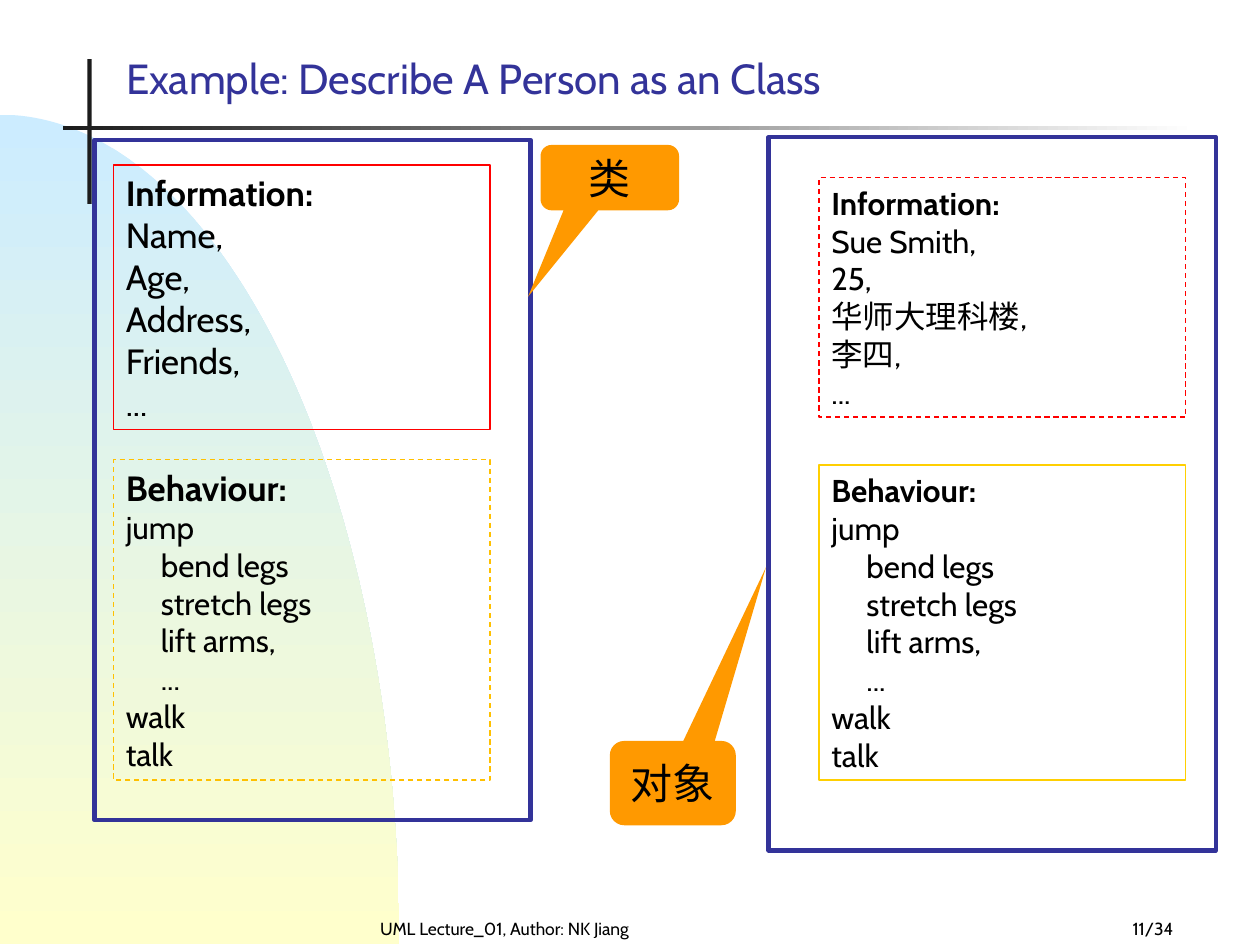
from dataclasses import dataclass
from math import cos, pi, sin

from pptx import Presentation
from pptx.dml.color import RGBColor
from pptx.enum.dml import MSO_LINE
from pptx.enum.shapes import MSO_SHAPE
from pptx.enum.text import MSO_ANCHOR, MSO_AUTO_SIZE, PP_ALIGN
from pptx.util import Pt


@dataclass(frozen=True)
class Theme:
    font: str = "Cabin"
    ink: str = "000000"
    accent: str = "333399"
    callout: str = "FF9900"
    red: str = "FF0000"
    amber: str = "FFC000"
    yellow: str = "FFCF01"
    bar: str = "1C1C1C"
    paper: str = "FFFFFF"
    sky: str = "CCECFF"
    cream: str = "FFFFCC"
    title_size: int = 24
    large_size: int = 20
    body_size: int = 18
    footer_size: int = 10
    indent: int = 20


THEME = Theme()
ACTIONS = ["jump", "\tbend legs", "\tstretch legs", "\tlift arms,", "\t...", "walk", "talk"]


def place(bounds):
    return [Pt(value) for value in bounds]


def color(code):
    return RGBColor.from_string(code)


def format_frame(frame, anchor):
    settings = {
        "word_wrap": True, "auto_size": MSO_AUTO_SIZE.NONE, "vertical_anchor": anchor,
        "margin_left": Pt(7.2), "margin_right": Pt(7.2),
        "margin_top": Pt(3.6), "margin_bottom": Pt(3.6),
    }
    for name, value in settings.items():
        setattr(frame, name, value)


def write_line(para, text, size, align=PP_ALIGN.LEFT, bold=False, ink=THEME.ink):
    """Write one line; a leading tab marks an indented one."""
    para.alignment = align
    if text.startswith("\t"):
        para._p.get_or_add_pPr().set("marL", str(Pt(THEME.indent)))
    span = para.add_run()
    span.text = text.lstrip("\t")
    for name, value in {"name": THEME.font, "size": Pt(size), "bold": bold}.items():
        setattr(span.font, name, value)
    span.font.color.rgb = color(ink)


def add_plain_shape(shapes, kind, bounds):
    shape = shapes.add_shape(kind, *place(bounds))
    shape.shadow.inherit = False
    shape.line.fill.background()
    return shape


def fill_gradient(shape, start, end, angle):
    shape.fill.gradient()
    shape.fill.gradient_angle = angle
    for stop, code, position in zip(shape.fill.gradient_stops, (start, end), (0, 1)):
        stop.color.rgb = color(code)
        stop.position = position


def add_quarter_ellipse(shapes, top, width, height, steps=90):
    angles = [pi / 2 * step / steps for step in range(steps + 1)]
    bottom = top + height
    arc = [(Pt(width * sin(a)), Pt(bottom - height * cos(a))) for a in angles]
    builder = shapes.build_freeform(*arc[0])
    builder.add_line_segments(arc[1:] + [(0, Pt(bottom))], close=True)
    ellipse = builder.convert_to_shape()
    ellipse.shadow.inherit = False
    ellipse.line.fill.background()
    fill_gradient(ellipse, THEME.sky, THEME.cream, 270)


def add_outline(shapes, bounds, line_color, width, dash=None):
    box = add_plain_shape(shapes, MSO_SHAPE.RECTANGLE, bounds)
    box.fill.background()
    box.line.color.rgb = color(line_color)
    box.line.width = Pt(width)
    if dash:
        box.line.dash_style = dash
    return box


def add_list_box(shapes, bounds, outline, heading, lines, heading_size, size):
    box = add_outline(shapes, bounds, *outline)
    frame = box.text_frame
    format_frame(frame, MSO_ANCHOR.TOP)
    write_line(frame.paragraphs[0], heading, heading_size, bold=True)
    for line in lines:
        write_line(frame.add_paragraph(), line, size)


def add_callout(shapes, bounds, text, tip):
    callout = add_plain_shape(shapes, MSO_SHAPE.ROUNDED_RECTANGULAR_CALLOUT, bounds)
    callout.fill.solid()
    callout.fill.fore_color.rgb = color(THEME.callout)
    for index, value in enumerate((*tip, 0.17)):
        callout.adjustments[index] = value
    format_frame(callout.text_frame, MSO_ANCHOR.MIDDLE)
    write_line(callout.text_frame.paragraphs[0], text, THEME.title_size, PP_ALIGN.CENTER)


def add_footer(shapes, bounds, text, align):
    box = shapes.add_textbox(*place(bounds))
    format_frame(box.text_frame, MSO_ANCHOR.BOTTOM)
    write_line(box.text_frame.paragraphs[0], text, THEME.footer_size, align)


def set_title(title, bounds, text):
    for name, value in zip(("left", "top", "width", "height"), place(bounds)):
        setattr(title, name, value)
    format_frame(title.text_frame, MSO_ANCHOR.BOTTOM)
    write_line(title.text_frame.paragraphs[0], text, THEME.title_size, ink=THEME.accent)


def main():
    deck = Presentation()
    deck.slide_width, deck.slide_height = Pt(720), Pt(540)
    slide = deck.slides.add_slide(deck.slide_layouts[5])
    shapes = slide.shapes

    # Backdrop and title bars
    add_quarter_ellipse(shapes, 65.5, 228.2, 473.8)
    upright = add_plain_shape(shapes, MSO_SHAPE.RECTANGLE, (49.9, 33.8, 2.5, 82.8))
    upright.fill.solid()
    upright.fill.fore_color.rgb = color(THEME.bar)
    rule = add_plain_shape(shapes, MSO_SHAPE.RECTANGLE, (36, 72, 648, 2.3))
    fill_gradient(rule, THEME.bar, THEME.paper, 0)

    # Title and footers
    set_title(shapes.title, (64.8, 25.9, 487.4, 36.7), "Example: Describe A Person as an Class")
    add_footer(shapes, (174.2, 516.2, 228.2, 23.8), "UML Lecture_01, Author: NK Jiang",
               PP_ALIGN.CENTER)
    add_footer(shapes, (527.8, 516.2, 149.8, 23.8), "11/34", PP_ALIGN.RIGHT)

    # Class on the left
    add_list_box(shapes, (64.8, 262.8, 215.3, 182.9), (THEME.amber, 0.75, MSO_LINE.DASH),
                 "Behaviour:", ACTIONS, THEME.large_size, THEME.body_size)
    add_outline(shapes, (54, 79.9, 249.1, 388.8), THEME.accent, 2.5)
    add_list_box(shapes, (64.8, 94.3, 215.3, 151.2), (THEME.red, 1), "Information:",
                 ["Name,", "Age,", "Address,", "Friends,", "..."],
                 THEME.large_size, THEME.large_size)

    # Object on the right
    person = shapes.add_group_shape().shapes
    add_list_box(person, (468, 265.7, 209.5, 180), (THEME.yellow, 0.75),
                 "Behaviour:", ACTIONS, THEME.body_size, THEME.body_size)
    add_outline(person, (439.2, 78.5, 255.6, 407.5), THEME.accent, 2.5)
    add_list_box(shapes, (468, 101.5, 209.5, 136.8), (THEME.red, 0.75, MSO_LINE.DASH),
                 "Information:", ["Sue Smith,", "25,", "华师大理科楼,", "李四,", "..."],
                 THEME.body_size, THEME.body_size)

    # Callouts naming the two frames
    add_callout(shapes, (308.9, 82.8, 79.2, 37.4), "类", (-0.59, 1.82))
    add_callout(shapes, (348.5, 423.4, 72, 48.2), "对象", (0.74, -2.56))

    deck.save("out.pptx")


if __name__ == "__main__":
    main()
